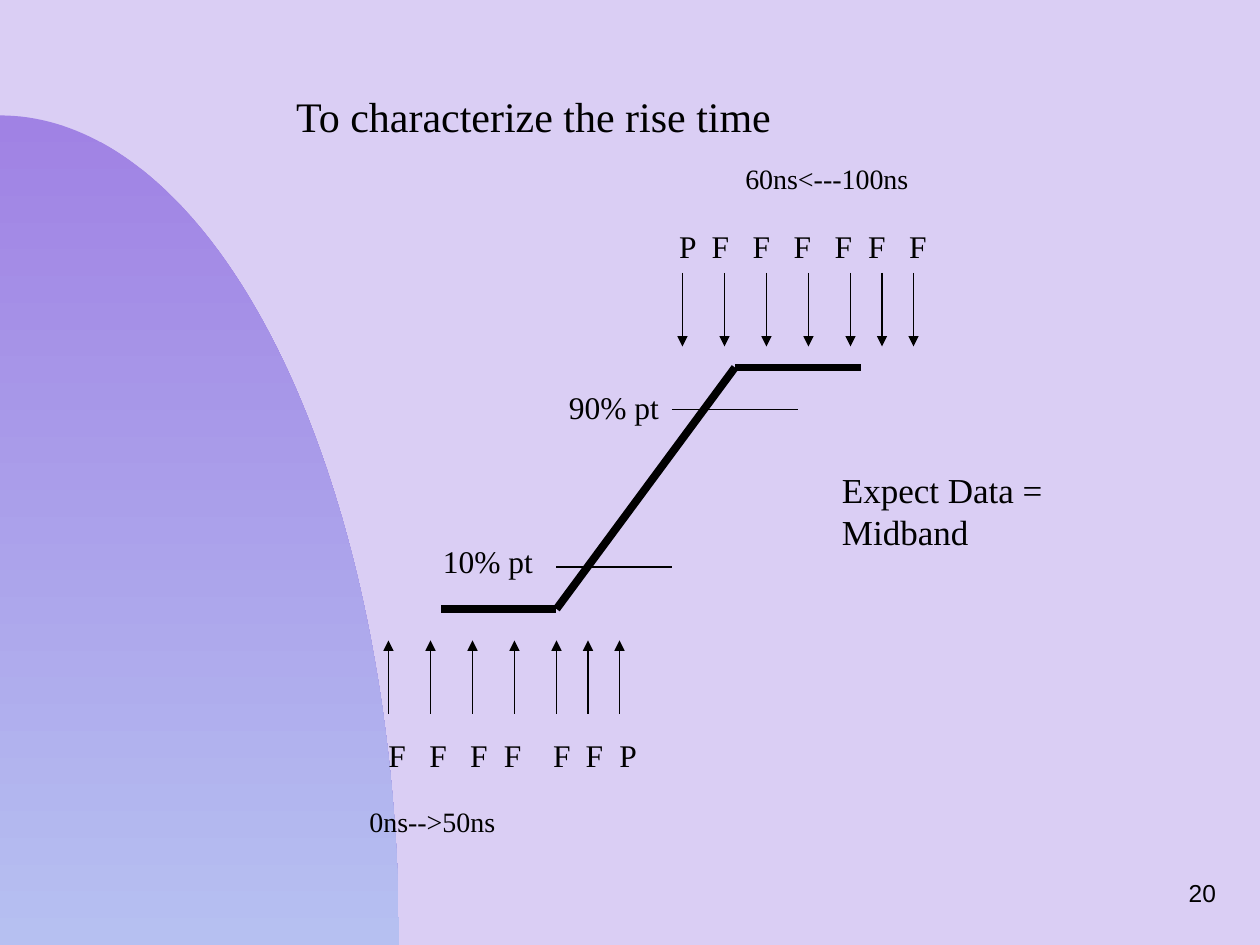
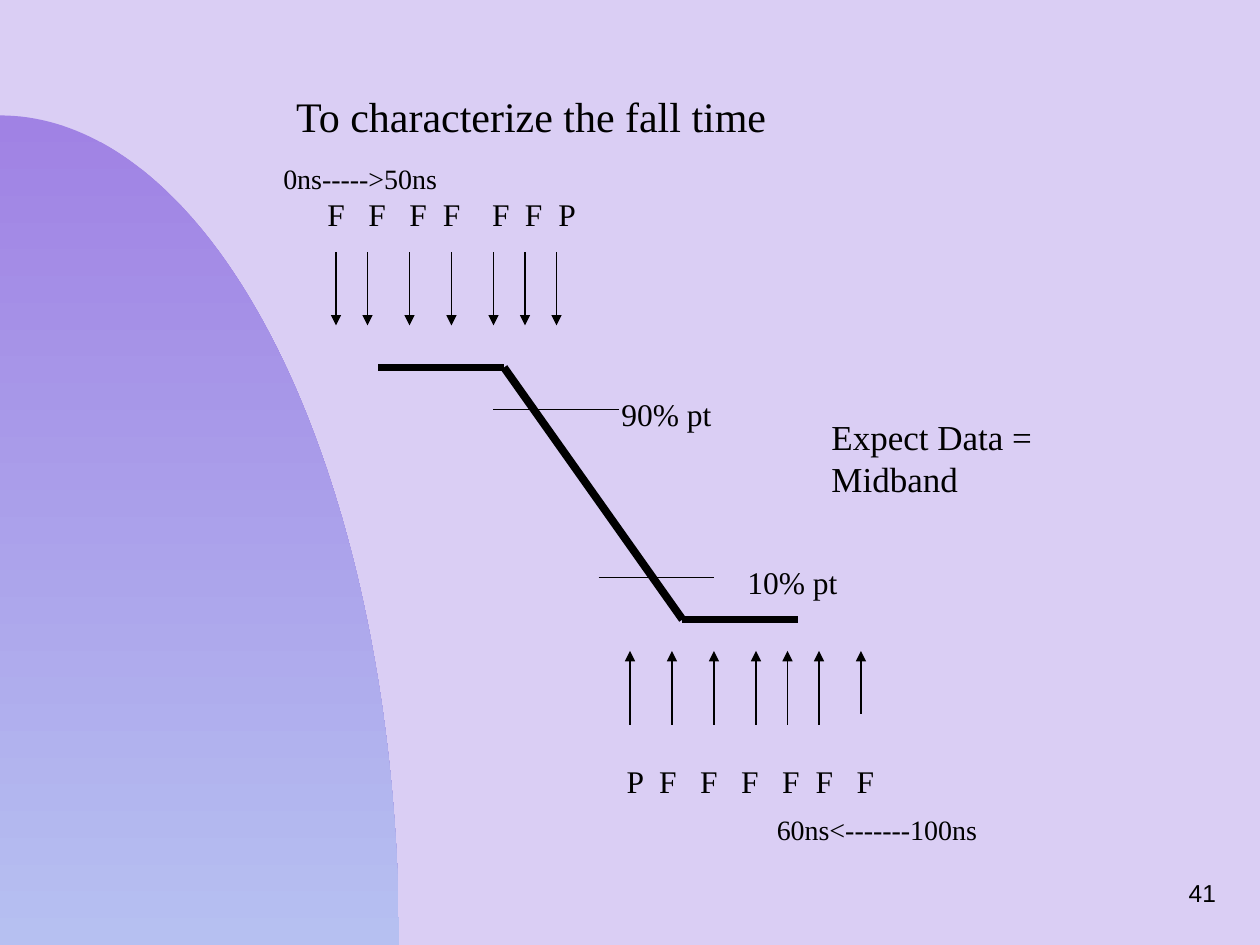
from dataclasses import dataclass
from itertools import accumulate, pairwise
from math import cos, pi, sin

from lxml.etree import SubElement
from pptx import Presentation
from pptx.dml.color import RGBColor
from pptx.enum.shapes import MSO_CONNECTOR as LINK
from pptx.enum.text import MSO_ANCHOR as ANCHOR, MSO_AUTO_SIZE as FIT, PP_ALIGN as ALIGN
from pptx.oxml.ns import qn
from pptx.slide import Slide
from pptx.util import Emu, Pt

PX = 7620  # EMU in one px, 120 px to the inch
WIDE, HIGH = 1200, 900
BLACK = RGBColor(0x00, 0x00, 0x00)
LILAC = RGBColor(0xDA, 0xCE, 0xF4)
VIOLET = RGBColor(0xA0, 0x82, 0xE4)
SKY = RGBColor(0xB6, 0xC0, 0xF1)
SERIF, SANS = "Times New Roman", "Arial"
THICK, THIN = 4.5, 0.75

Point = tuple[int, int]


@dataclass
class Label:
    left: int
    top: int
    width: int
    height: int
    text: str
    size: int = 18
    face: str = SERIF


@dataclass
class Row:
    """Letters on tab stops."""
    left: int
    top: int
    marks: str
    stops: tuple[int, ...]


@dataclass
class Fan:
    """Arrows side by side, each from one level to another."""
    start: int
    gaps: tuple[int, ...]
    tail: int
    head: int
    last: int = 0  # shift of the last arrow's tail


@dataclass
class Page:
    title: Label
    number: str
    wave: list[Point]
    ticks: list[tuple[int, int, int]]
    labels: list[Label]
    rows: list[Row]
    fans: list[Fan]


def px(*sizes: int) -> list[Emu]:
    return [Emu(size * PX) for size in sizes]


def write(shape, label: Label, align=ALIGN.LEFT, anchor=ANCHOR.TOP,
          fit=FIT.SHAPE_TO_FIT_TEXT) -> None:
    frame = shape.text_frame
    frame.text = label.text
    for name, value in {"word_wrap": True, "auto_size": fit,
                        "vertical_anchor": anchor}.items():
        setattr(frame, name, value)
    style = {"name": label.face, "size": Pt(label.size), "bold": False}
    for para in frame.paragraphs:
        para.alignment = align
        for run in para.runs:
            for name, value in style.items():
                setattr(run.font, name, value)
            run.font.color.rgb = BLACK


def add_box(slide: Slide, label: Label, **form):
    box = slide.shapes.add_textbox(
        *px(label.left, label.top, label.width, label.height))
    write(box, label, **form)
    return box


def add_title(slide: Slide, label: Label) -> None:
    title = slide.shapes.title
    for name in ("left", "top", "width", "height"):
        setattr(title, name, Emu(getattr(label, name) * PX))
    write(title, label)


def add_row(slide: Slide, row: Row) -> None:
    text = "\t".join(row.marks)
    box = add_box(slide, Label(row.left, row.top, 268, 48, text))
    props = box.text_frame.paragraphs[0]._p.get_or_add_pPr()
    tabs = SubElement(props, qn("a:tabLst"))
    for stop in row.stops:
        SubElement(tabs, qn("a:tab"), pos=str(stop * PX), algn="l")


def add_line(slide: Slide, start: Point, end: Point, weight: float,
             arrow: bool = False) -> None:
    line = slide.shapes.add_connector(LINK.STRAIGHT, *px(*start, *end))
    line.line.color.rgb = BLACK
    line.line.width = Pt(weight)
    props = line._element.spPr
    if arrow:
        SubElement(props.find(qn("a:ln")), qn("a:tailEnd"), type="triangle")
    SubElement(props, qn("a:effectLst"))


def add_fan(slide: Slide, fan: Fan) -> None:
    spots = list(accumulate(fan.gaps, initial=fan.start))
    for spot in spots:
        tail = fan.tail + (fan.last if spot == spots[-1] else 0)
        add_line(slide, (spot, tail), (spot, fan.head), THIN, arrow=True)


def add_dome(slide: Slide) -> None:
    """Quarter ellipse in the lower left corner."""
    top, steps = 110, 90
    across, rise, base = px(380, HIGH - top, HIGH)
    turns = [pi / 2 * step / steps for step in range(steps + 1)]
    rim = [(round(across * sin(t)), round(base - rise * cos(t))) for t in turns]
    path = slide.shapes.build_freeform(0, base)
    path.add_line_segments(rim, close=True)
    dome = path.convert_to_shape()
    dome.shadow.inherit = False
    dome.line.fill.background()
    dome.fill.gradient()
    dome.fill.gradient_angle = 270
    for stop, tint in zip(dome.fill.gradient_stops, (VIOLET, SKY)):
        stop.color.rgb = tint


def add_page(deck, page: Page) -> None:
    slide = deck.slides.add_slide(deck.slide_layouts[5])
    add_dome(slide)
    add_title(slide, page.title)
    for start, end in pairwise(page.wave):
        add_line(slide, start, end, THICK)
    for left, right, height in page.ticks:
        add_line(slide, (left, height), (right, height), THIN)
    for fan in page.fans:
        add_fan(slide, fan)
    for label in page.labels:
        add_box(slide, label)
    for row in page.rows:
        add_row(slide, row)
    add_box(slide, Label(920, 820, 250, 60, page.number, 14, SANS),
            align=ALIGN.RIGHT, anchor=ANCHOR.MIDDLE, fit=FIT.NONE)


# Labels that both slides carry, a little wider than their text
def title(kind: str) -> Label:
    return Label(270, 80, 490, 60, f"To characterize the {kind} time", 24)


def level(left: int, top: int, share: int) -> Label:
    return Label(left, top, 116, 48, f"{share}% pt")


def span(left: int, top: int, width: int, text: str) -> Label:
    return Label(left, top, width, 44, text, 16)


def expect(left: int, top: int) -> Label:
    return Label(left, top, 222, 92, "Expect Data =\nMidband", 20)


# Pass and fail letters, counted up or down
def to_pass(left: int, top: int) -> Row:
    return Row(left, top, "FFFFFFP", (39, 78, 110, 157, 188, 220))


def from_pass(left: int, top: int) -> Row:
    return Row(left, top, "PFFFFFF", (31, 70, 109, 148, 180, 219))


EVEN = (40, 40, 40, 40, 30, 30)

PAGES = [
    Page(
        title("rise"), "20",
        wave=[(420, 580), (530, 580), (700, 350), (820, 350)],
        ticks=[(640, 760, 390), (530, 640, 540)],
        labels=[level(410, 510, 10), level(530, 364, 90), expect(790, 440),
                span(698, 148, 188, "60ns<---100ns"),
                span(340, 760, 154, "0ns-->50ns")],
        rows=[to_pass(358, 695), from_pass(635, 210)],
        fans=[Fan(370, EVEN, 680, 610), Fan(650, EVEN, 260, 330)],
    ),
    Page(
        title("fall"), "41",
        wave=[(360, 350), (480, 350), (650, 590), (760, 590)],
        ticks=[(470, 590, 390), (570, 680, 550)],
        labels=[level(700, 530, 10), level(580, 370, 90), expect(780, 390),
                span(258, 148, 180, "0ns----->50ns"),
                span(728, 768, 224, "60ns<-------100ns")],
        rows=[to_pass(300, 180), from_pass(585, 720)],
        fans=[Fan(320, (30, 40, 40, 40, 30, 30), 240, 310),
              Fan(600, (40, 40, 40, 30, 30, 40), 690, 620, last=-10)],
    ),
]


def main() -> None:
    deck = Presentation()
    deck.slide_width, deck.slide_height = px(WIDE, HIGH)
    back = deck.slide_master.background.fill
    back.solid()
    back.fore_color.rgb = LILAC
    for page in PAGES:
        add_page(deck, page)
    deck.save("out.pptx")


if __name__ == "__main__":
    main()
